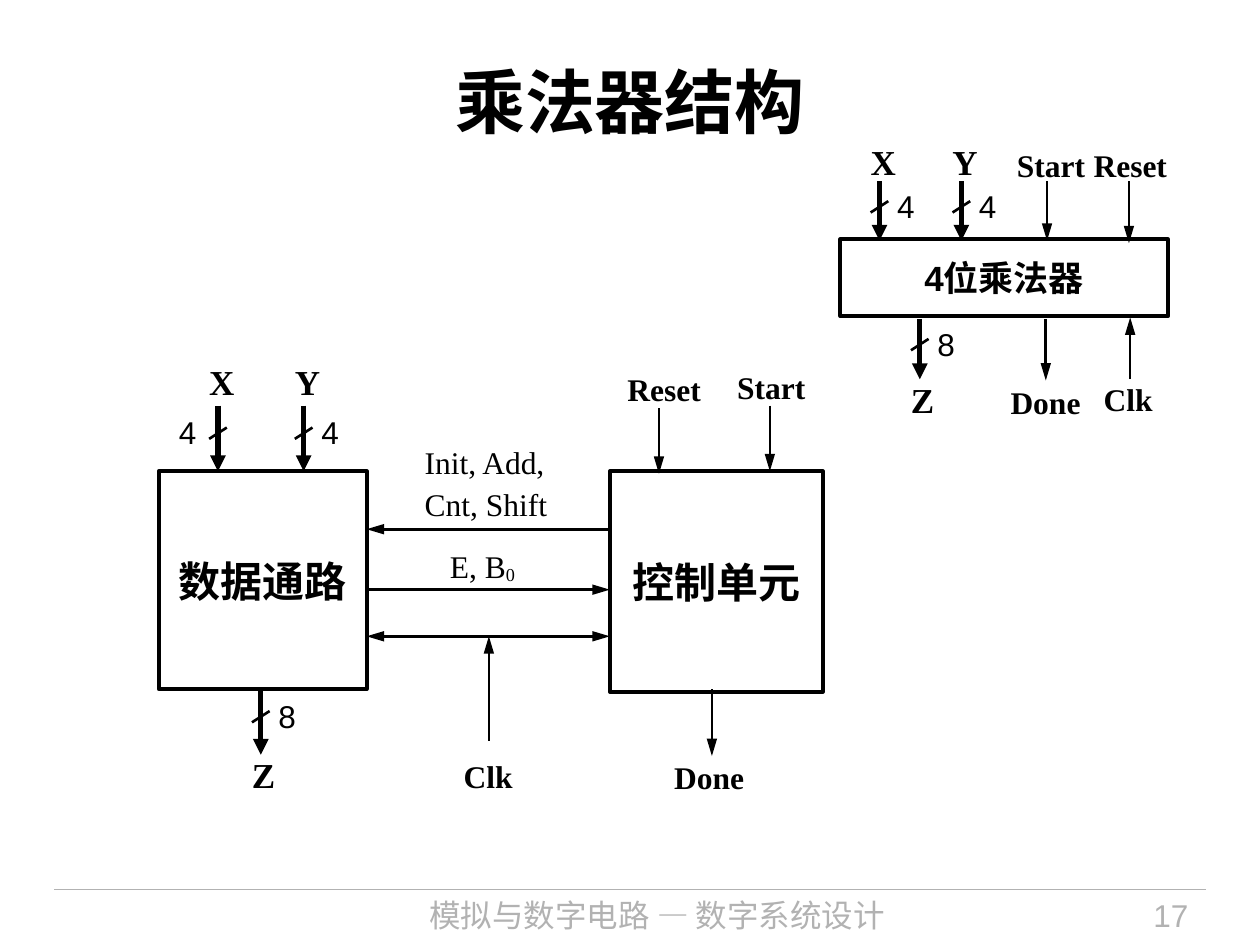
from dataclasses import dataclass

from lxml import etree
from pptx import Presentation
from pptx.dml.color import RGBColor
from pptx.enum.shapes import MSO_CONNECTOR, MSO_SHAPE
from pptx.enum.text import MSO_ANCHOR, MSO_AUTO_SIZE, PP_ALIGN
from pptx.oxml.ns import qn
from pptx.util import Inches, Pt

BLACK = RGBColor(0x00, 0x00, 0x00)
GRAY = RGBColor(0xB2, 0xB2, 0xB2)
SANS, SERIF, CJK = "Arial", "Times New Roman", "Noto Sans CJK SC"
LEFT, CENTER, RIGHT = PP_ALIGN.LEFT, PP_ALIGN.CENTER, PP_ALIGN.RIGHT
MIDDLE = MSO_ANCHOR.MIDDLE
STRAIGHT, RECTANGLE = MSO_CONNECTOR.STRAIGHT, MSO_SHAPE.RECTANGLE
FIT_SHAPE = MSO_AUTO_SIZE.SHAPE_TO_FIT_TEXT
THIN, THICK, BORDER = 1.5, 3, 2.25


@dataclass
class Block:
    """A labelled unit of the circuit."""
    name: str
    left: float
    top: float
    width: float
    height: float
    size: float


@dataclass
class Bus:
    """A vertical multi-bit line, with its bit count beside it."""
    name: str
    x: float
    top: float
    bottom: float
    name_top: float
    bits: str
    bits_offset: float = 0.14


@dataclass
class Signal:
    """A vertical single-bit line, drawn from start to end."""
    name: str
    x: float
    start: float
    end: float
    name_left: float
    name_top: float
    name_width: float


BLOCKS = [
    Block("数据通路", 1.26, 3.74, 1.65, 1.73, 24),
    Block("控制单元", 4.84, 3.74, 1.69, 1.75, 24),
    Block("4位乘法器", 6.67, 1.9, 2.6, 0.61, 20),
]
BUSES = [
    # Datapath
    Bus("X", 1.73, 3.22, 3.74, 2.9, "4", -0.31),
    Bus("Y", 2.41, 3.22, 3.74, 2.9, "4"),
    Bus("Z", 2.07, 5.47, 5.99, 6.02, "8"),
    # Whole multiplier
    Bus("X", 6.98, 1.44, 1.91, 1.15, "4"),
    Bus("Y", 7.63, 1.44, 1.91, 1.15, "4"),
    Bus("Z", 7.3, 2.53, 3.01, 3.04, "8"),
]
SIGNALS = [
    # Control unit
    Signal("Reset", 5.23, 3.24, 3.76, 4.98, 2.91, 0.66),
    Signal("Start", 6.11, 3.22, 3.74, 5.85, 2.89, 0.62),
    Signal("Done", 5.65, 5.47, 6.0, 5.35, 5.99, 0.62),
    Signal("Clk", 3.88, 5.88, 5.05, 3.68, 5.98, 0.45),
    # Whole multiplier
    Signal("Start", 8.31, 1.44, 1.91, 8.07, 1.13, 0.62),
    Signal("Reset", 8.96, 1.44, 1.93, 8.68, 1.13, 0.66),
    Signal("Done", 8.3, 2.53, 3.02, 8.02, 3.01, 0.62),
    Signal("Clk", 8.97, 3.01, 2.52, 8.76, 2.99, 0.45),
]


def add_run(paragraph, text: str, size: float, font: str, bold: bool = False,
            color: RGBColor = BLACK):
    run = paragraph.add_run()
    run.text = text
    run.font.size = Pt(size)
    run.font.bold = bold
    run.font.color.rgb = color
    run.font.name = font
    etree.SubElement(run.font._element, qn("a:ea"), typeface=CJK)
    return run


def add_line(slide, x1: float, y1: float, x2: float, y2: float,
             weight: float = THIN, color: RGBColor = BLACK,
             ends: tuple[str, ...] = ()) -> None:
    """Draw a line; ends names the arrowheads, headEnd before tailEnd."""
    line = slide.shapes.add_connector(
        STRAIGHT, Inches(x1), Inches(y1), Inches(x2), Inches(y2))
    line.line.width = Pt(weight)
    line.line.color.rgb = color
    head_length = "lg" if weight == THIN else "med"
    for end in ends:
        etree.SubElement(line.line._get_or_add_ln(), qn(f"a:{end}"),
                         type="triangle", len=head_length)
    etree.SubElement(line._element.spPr, qn("a:effectLst"))


def add_label(slide, left: float, top: float, width: float, height: float,
              spacing: float):
    """Add an unwrapped box without margins and return its text frame."""
    frame = slide.shapes.add_textbox(
        Inches(left), Inches(top), Inches(width), Inches(height)).text_frame
    frame.margin_left = frame.margin_right = 0
    frame.margin_top = frame.margin_bottom = 0
    frame.word_wrap = False
    frame.auto_size = FIT_SHAPE
    frame.paragraphs[0].alignment = LEFT
    frame.paragraphs[0].line_spacing = spacing
    return frame


def add_block(slide, block: Block) -> None:
    box = slide.shapes.add_shape(
        RECTANGLE, Inches(block.left), Inches(block.top),
        Inches(block.width), Inches(block.height))
    box.shadow.inherit = False
    box.fill.background()
    box.line.color.rgb = BLACK
    box.line.width = Pt(BORDER)
    frame = box.text_frame
    frame.word_wrap = False
    frame.vertical_anchor = MIDDLE
    frame.paragraphs[0].alignment = CENTER
    add_run(frame.paragraphs[0], block.name, block.size, SANS, bold=True)


def add_bus(slide, bus: Bus) -> None:
    slash_top = bus.top + (bus.bottom - bus.top) / 3
    add_line(slide, bus.x, bus.top, bus.x, bus.bottom, THICK, ends=("tailEnd",))
    add_line(slide, bus.x + 0.07, slash_top, bus.x - 0.07, slash_top + 0.09)
    bits = add_label(slide, bus.x + bus.bits_offset, slash_top - 0.08, 0.14, 0.27, 0.9)
    add_run(bits.paragraphs[0], bus.bits, 18, SANS)
    name = add_label(slide, bus.x - 0.07, bus.name_top, 0.2, 0.3, 0.9)
    add_run(name.paragraphs[0], bus.name, 20, SERIF, bold=True)


def add_signal(slide, signal: Signal) -> None:
    add_line(slide, signal.x, signal.start, signal.x, signal.end, ends=("tailEnd",))
    name = add_label(slide, signal.name_left, signal.name_top,
                     signal.name_width, 0.33, 1.1)
    name.paragraphs[0].space_after = Pt(2.2)
    add_run(name.paragraphs[0], signal.name, 18, SERIF, bold=True)


def add_footer(slide, text: str, left: float, width: float, alignment, font: str) -> None:
    frame = slide.shapes.add_textbox(
        Inches(left), Inches(7.06), Inches(width), Inches(0.44)).text_frame
    frame.word_wrap = True
    frame.paragraphs[0].alignment = alignment
    add_run(frame.paragraphs[0], text, 18, font, color=GRAY)


def main() -> None:
    prs = Presentation()
    prs.slide_width, prs.slide_height = Inches(10), Inches(7.5)
    slide = prs.slides.add_slide(prs.slide_layouts[5])

    # Title
    title = slide.shapes.title
    title.left, title.top = Inches(0.5), Inches(0.17)
    title.width, title.height = Inches(9), Inches(1.25)
    title.text_frame.vertical_anchor = MIDDLE
    title.text_frame.paragraphs[0].alignment = CENTER
    add_run(title.text_frame.paragraphs[0], "乘法器结构", 40, CJK, bold=True)

    # Footer
    add_line(slide, 0.43, 7.06, 9.57, 7.06, 0.75, GRAY)
    add_footer(slide, "模拟与数字电路 — 数字系统设计", 2.4, 5.63, CENTER, CJK)
    add_footer(slide, "17", 8.2, 1.33, RIGHT, SANS)

    # Units with their inputs and outputs
    for block in BLOCKS:
        add_block(slide, block)
    for bus in BUSES:
        add_bus(slide, bus)
    for signal in SIGNALS:
        add_signal(slide, signal)

    # Lines between control unit and datapath
    datapath, control = BLOCKS[:2]
    datapath_edge = datapath.left + datapath.width
    for y, ends in ((4.2, ("tailEnd",)), (4.68, ("headEnd",)),
                    (5.05, ("headEnd", "tailEnd"))):
        add_line(slide, control.left, y, datapath_edge, y, ends=ends)

    # Commands and status
    commands = add_label(slide, 3.37, 3.49, 1.09, 0.66, 1.1)
    add_run(commands.paragraphs[0], "Init, Add,", 18, SERIF)
    second_line = commands.add_paragraph()
    second_line.line_spacing = 1.1
    add_run(second_line, "Cnt, Shift", 18, SERIF)
    status = add_label(slide, 3.57, 4.31, 0.58, 0.33, 1.1)
    add_run(status.paragraphs[0], "E, B", 18, SERIF)
    subscript = add_run(status.paragraphs[0], "0", 18, SERIF)
    subscript.font._element.set("baseline", "-10000")

    prs.save("out.pptx")


if __name__ == "__main__":
    main()
